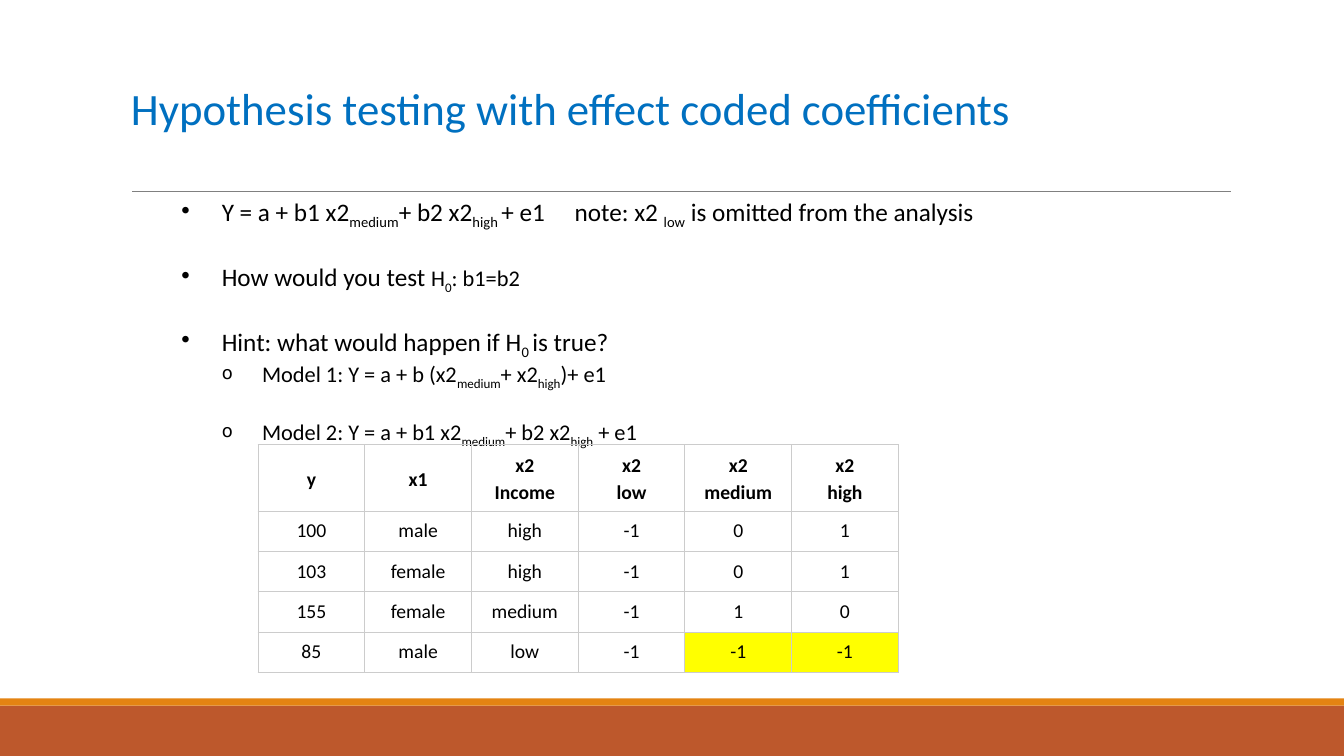
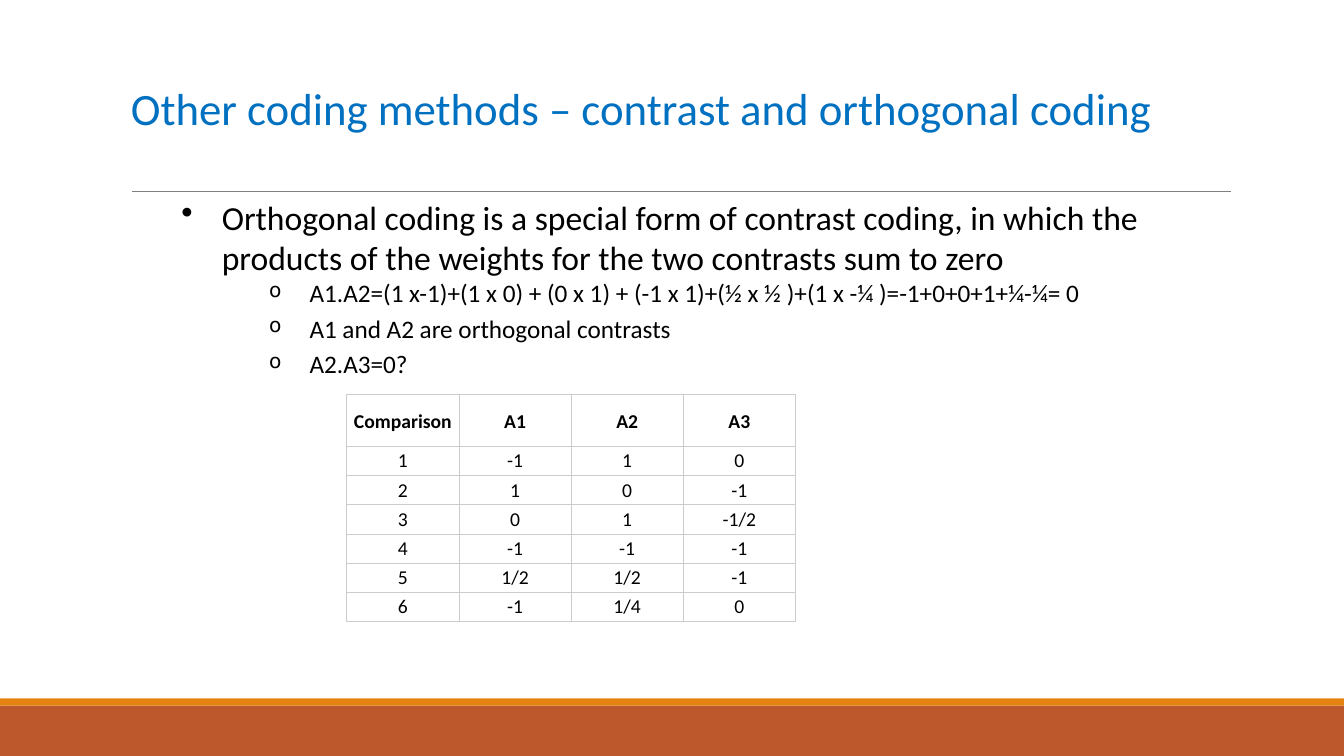
"""Build two slides on effect, contrast and orthogonal coding."""
import pptx
import pptx.dml.color
import pptx.enum.shapes
import pptx.enum.text
import pptx.oxml.ns
import pptx.util
from lxml import etree

Inches, Pt = pptx.util.Inches, pptx.util.Pt
MIDDLE = pptx.enum.text.MSO_ANCHOR.MIDDLE
FONT = "Calibri"
COLORS = {"title": "0070C0", "text": "000000", "rule": "808080", "grid": "CCCCCC",
          "band": "BD582C", "stripe": "E48312", "highlight": "FFFF00"}
BANDS = [("band", 7, 0.5), ("stripe", 6.93, 0.07)]
BULLETS = {"point": ("•", 100), "detail": ("o", 80)}
SLIDE_WIDTH = 13.33
LEFT, WIDTH, RULE_TOP = 1.2, 11, 1.9

# Each line: bullet kind, indent, space after, then (size, text); ~ encloses a subscript.
SLIDES = [
    {
        "title": "Hypothesis testing with effect coded coefficients",
        "body_height": 1.98,
        "lines": [
            ("point", 1, 22, [(18, "Y = a + b1 x2~medium~+ b2 x2~high ~+ e1\tnote: x2 ~low~"
                                   " is omitted from the analysis")]),
            ("point", 1, 22, [(18, "How would you test "), (16, "H~0~: b1=b2")]),
            ("point", 1, 0, [(18, "Hint: what would happen if H~0 ~is true?")]),
            ("detail", 1.4, 19.5, [(16, "Model 1: Y = a + b (x2~medium~+ x2~high~)+ e1")]),
            ("detail", 1.4, 0, [(16, "Model 2: Y = a + b1 x2~medium~+ b2 x2~high~ + e1")]),
        ],
        "table": {
            "left": 2.56, "top": 4.41, "width": 6.35, "header_height": 0.66, "row_height": 0.4,
            "highlights": {(4, 4), (4, 5)},
            "rows": [
                ("y", "x1", "x2\nIncome", "x2\nlow", "x2\nmedium", "x2\nhigh"),
                ("100", "male", "high", "-1", "0", "1"),
                ("103", "female", "high", "-1", "0", "1"),
                ("155", "female", "medium", "-1", "1", "0"),
                ("85", "male", "low", "-1", "-1", "-1"),
            ],
        },
    },
    {
        "title": "Other coding methods – contrast and orthogonal coding",
        "body_height": 1.89,
        "lines": [
            ("point", 1, 0, [(24, "Orthogonal coding is a special form of contrast coding, in which "
                                  "the products of the weights for the two contrasts sum to zero")]),
            ("detail", 1.87, 4, [(18, "A1.A2=(1 x-1)+(1 x 0) + (0 x 1) + (-1 x 1)+(½ x ½ )"
                                      "+(1 x -¼ )=-1+0+0+1+¼-¼= 0")]),
            ("detail", 1.87, 4, [(18, "A1 and A2 are orthogonal contrasts")]),
            ("detail", 1.87, 4, [(18, "A2.A3=0?")]),
        ],
        "table": {
            "left": 3.44, "top": 3.91, "width": 4.45, "header_height": 0.52, "row_height": 0.29,
            "highlights": set(),
            "rows": [
                ("Comparison", "A1", "A2", "A3"),
                ("1", "-1", "1", "0"),
                ("2", "1", "0", "-1"),
                ("3", "0", "1", "-1/2"),
                ("4", "-1", "-1", "-1"),
                ("5", "1/2", "1/2", "-1"),
                ("6", "-1", "1/4", "0"),
            ],
        },
    },
]


def rgb(name):
    return pptx.dml.color.RGBColor.from_string(COLORS[name])


def add_xml(parent, tag, **attributes):
    return etree.SubElement(parent, pptx.oxml.ns.qn(tag), attributes)


def style_run(run, size, color="text", bold=False):
    run.font.name, run.font.size, run.font.bold = FONT, Pt(size), bold
    run.font.color.rgb = rgb(color)


def add_frame(slide, top, height):
    box = slide.shapes.add_textbox(Inches(LEFT), Inches(top), Inches(WIDTH), Inches(height))
    box.text_frame.word_wrap = True
    return box.text_frame


def add_backdrop(slide):
    for color, top, height in BANDS:
        band = slide.shapes.add_shape(pptx.enum.shapes.MSO_SHAPE.RECTANGLE, 0, Inches(top),
                                      Inches(SLIDE_WIDTH), Inches(height))
        band.shadow.inherit = False
        band.fill.solid()
        band.fill.fore_color.rgb = rgb(color)
        band.line.fill.background()
    rule = slide.shapes.add_connector(pptx.enum.shapes.MSO_CONNECTOR.STRAIGHT, Inches(1.31),
                                      Inches(RULE_TOP), Inches(12.21), Inches(RULE_TOP))
    rule.line.color.rgb = rgb("rule")
    rule.line.width = Pt(0.5)
    add_xml(rule._element.spPr, "a:effectLst")


def add_title(slide, title):
    frame = add_frame(slide, 0.31, RULE_TOP - 0.31)
    frame.vertical_anchor = MIDDLE
    frame.text = title
    heading = frame.paragraphs[0]
    heading.line_spacing = 0.85
    style_run(heading.runs[0], 32, "title")


def add_body(slide, lines, height):
    frame = add_frame(slide, RULE_TOP, height)
    frame.margin_left = frame.margin_right = 0
    for index, (kind, indent, space_after, segments) in enumerate(lines):
        paragraph = frame.add_paragraph() if index else frame.paragraphs[0]
        paragraph.space_after = Pt(space_after)
        properties = paragraph._p.get_or_add_pPr()
        properties.set("marL", str(Inches(indent)))
        properties.set("indent", str(Inches(-0.4)))
        symbol, percent = BULLETS[kind]
        add_xml(properties, "a:buSzPct", val=str(percent * 1000))
        add_xml(properties, "a:buChar", char=symbol)
        for size, text in segments:
            for part, words in enumerate(text.split("~")):
                if words:
                    run = paragraph.add_run()
                    run.text = words
                    style_run(run, size)
                    if part % 2:
                        run.font._element.set("baseline", "-25000")


def style_cell(cell, header, highlighted):
    cell.vertical_anchor = MIDDLE
    cell.margin_left = cell.margin_right = Inches(0.03)
    cell.margin_top = cell.margin_bottom = Inches(0.02)
    for paragraph in cell.text_frame.paragraphs:
        paragraph.alignment = pptx.enum.text.PP_ALIGN.CENTER
        paragraph.line_spacing = 1.15 if header else 1.0
        style_run(paragraph.runs[0], 14, bold=header)
    for side in "LRTB":
        border = add_xml(cell._tc.get_or_add_tcPr(), f"a:ln{side}", w=str(Pt(0.75)))
        add_xml(add_xml(border, "a:solidFill"), "a:srgbClr", val=COLORS["grid"])
    if highlighted:
        cell.fill.solid()
        cell.fill.fore_color.rgb = rgb("highlight")
    else:
        cell.fill.background()


def add_coding_table(slide, coding):
    rows = coding["rows"]
    heights = [coding["header_height"]] + [coding["row_height"]] * (len(rows) - 1)
    table = slide.shapes.add_table(len(rows), len(rows[0]), Inches(coding["left"]),
                                   Inches(coding["top"]), Inches(coding["width"]),
                                   Inches(sum(heights))).table
    table.first_row = table.horz_banding = False
    for r, (values, height) in enumerate(zip(rows, heights)):
        table.rows[r].height = Inches(height)
        for c, value in enumerate(values):
            cell = table.cell(r, c)
            cell.text_frame.text = value
            style_cell(cell, r == 0, (r, c) in coding["highlights"])


def main():
    deck = pptx.Presentation()
    deck.slide_width, deck.slide_height = Inches(SLIDE_WIDTH), Inches(7.5)
    for content in SLIDES:
        slide = deck.slides.add_slide(deck.slide_layouts[6])
        add_backdrop(slide)
        add_title(slide, content["title"])
        add_body(slide, content["lines"], content["body_height"])
        add_coding_table(slide, content["table"])
    deck.save("out.pptx")


if __name__ == "__main__":
    main()
